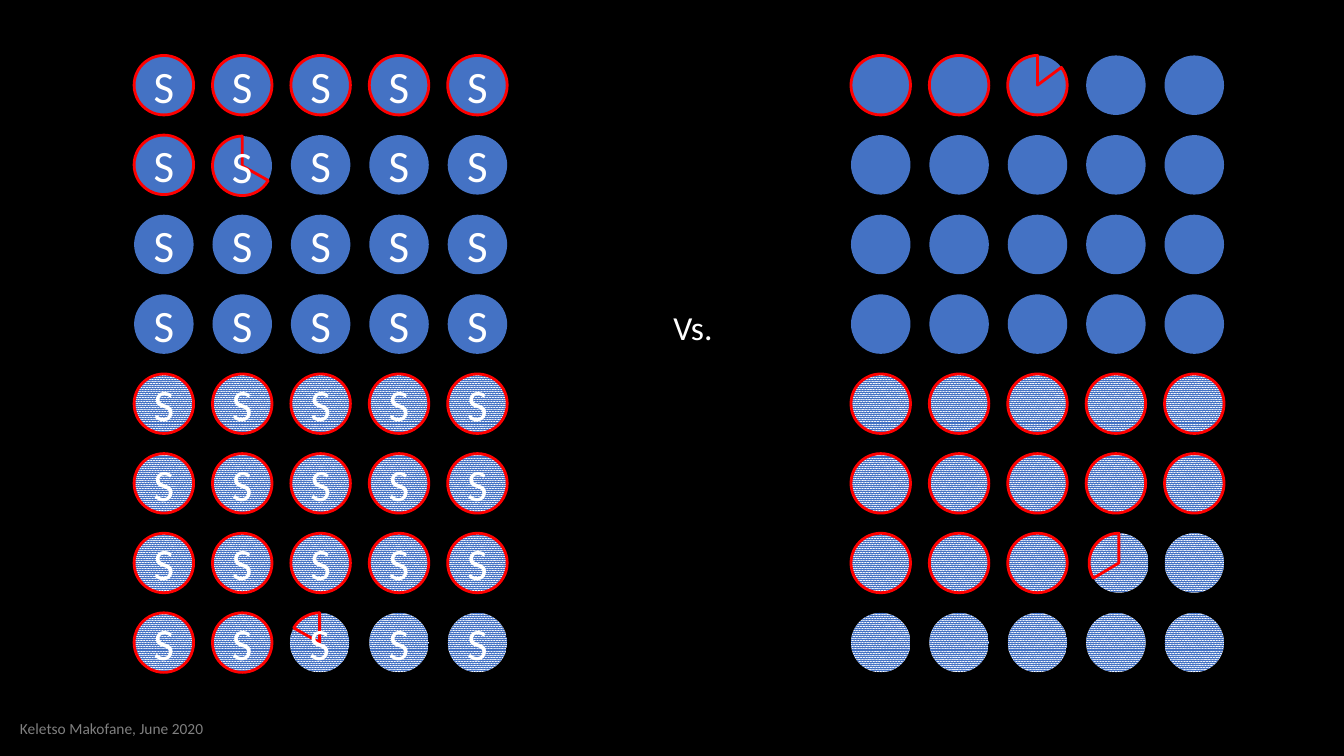
from pptx import Presentation
from pptx.dml.color import RGBColor
from pptx.enum.dml import MSO_PATTERN
from pptx.enum.shapes import MSO_SHAPE
from pptx.enum.text import MSO_ANCHOR, MSO_AUTO_SIZE, PP_ALIGN
from pptx.util import Inches, Pt

BLACK = RGBColor(0x00, 0x00, 0x00)
WHITE = RGBColor(0xFF, 0xFF, 0xFF)
BLUE = RGBColor(0x44, 0x72, 0xC4)
RED = RGBColor(0xFF, 0x00, 0x00)
GRAY = RGBColor(0x80, 0x80, 0x80)

COLUMNS = 5
BLOCK_SIZE = 20
DIAMETER = 0.59
COLUMN_STEP = 3.11 / (COLUMNS - 1)
ROW_STEP = 0.79
SOLID_TOP, PATTERNED_TOP = 0.55, 3.71
LEFT_GROUP, RIGHT_GROUP = 1.33, 8.44


class SlideBuilder:
    font = "Calibri"

    def __init__(self, slide):
        self.slide = slide
        slide.background.fill.solid()
        slide.background.fill.fore_color.rgb = BLACK

    def add_run(self, paragraph, text, size, color):
        run = paragraph.add_run()
        run.text = text
        run.font.name = self.font
        run.font.size = Pt(size)
        run.font.color.rgb = color

    def add_disc(self, kind, left, top, patterned, ringed, label=""):
        shape = self.slide.shapes.add_shape(
            kind, Inches(left), Inches(top), Inches(DIAMETER), Inches(DIAMETER))
        shape.shadow.inherit = False
        if patterned:
            shape.fill.patterned()
            shape.fill.pattern = MSO_PATTERN.PERCENT_90
            shape.fill.back_color.rgb = WHITE
        else:
            shape.fill.solid()
        shape.fill.fore_color.rgb = BLUE
        if ringed:
            shape.line.color.rgb = RED
            shape.line.width = Pt(2)
        else:
            shape.line.fill.background()
        if label:
            shape.text_frame.vertical_anchor = MSO_ANCHOR.MIDDLE
            paragraph = shape.text_frame.paragraphs[0]
            paragraph.alignment = PP_ALIGN.CENTER
            self.add_run(paragraph, label, 32, WHITE)
        return shape

    def add_block(self, left, top, patterned, ringed_count, pie_angle,
                  pie_shift=(0, 0), label=""):
        """Ring the first discs, then draw one partial ring as a pie."""
        for index in range(BLOCK_SIZE):
            row, column = divmod(index, COLUMNS)
            x = left + column * COLUMN_STEP
            y = top + row * ROW_STEP
            if index != ringed_count:
                self.add_disc(MSO_SHAPE.OVAL, x, y, patterned,
                              index < ringed_count, label)
                continue
            x += pie_shift[0]
            y += pie_shift[1]
            self.add_disc(MSO_SHAPE.OVAL, x, y, patterned, False)
            pie = self.add_disc(MSO_SHAPE.PIE, x, y, patterned, True, label)
            # Adjustments count 100000 units; a degree is 60000
            pie.adjustments[0] = pie_angle * 0.6
            pie.adjustments[1] = 270 * 0.6

    def add_text(self, left, top, width, height, text, size, color):
        box = self.slide.shapes.add_textbox(
            Inches(left), Inches(top), Inches(width), Inches(height))
        box.text_frame.word_wrap = False
        box.text_frame.auto_size = MSO_AUTO_SIZE.SHAPE_TO_FIT_TEXT
        self.add_run(box.text_frame.paragraphs[0], text, size, color)


def main():
    presentation = Presentation()
    presentation.slide_width = Inches(13.33)
    presentation.slide_height = Inches(7.5)
    builder = SlideBuilder(
        presentation.slides.add_slide(presentation.slide_layouts[6]))

    # Left group, labelled discs
    builder.add_block(LEFT_GROUP, SOLID_TOP, False, 6, 29.47, (0, 0.01), "S")
    builder.add_block(LEFT_GROUP, PATTERNED_TOP, True, 17, 209.49, (-0.01, 0), "S")

    # Right group, plain discs
    builder.add_block(RIGHT_GROUP, SOLID_TOP, False, 2, 323.34)
    builder.add_block(RIGHT_GROUP, PATTERNED_TOP, True, 13, 149.25, (0.03, 0))

    # Comparison word and credit
    builder.add_text(6.58, 3, 0.59, 0.5, "Vs.", 24, WHITE)
    builder.add_text(0.1, 7.08, 2.04, 0.29, "Keletso Makofane, June 2020", 11, GRAY)

    presentation.save("out.pptx")


if __name__ == "__main__":
    main()
